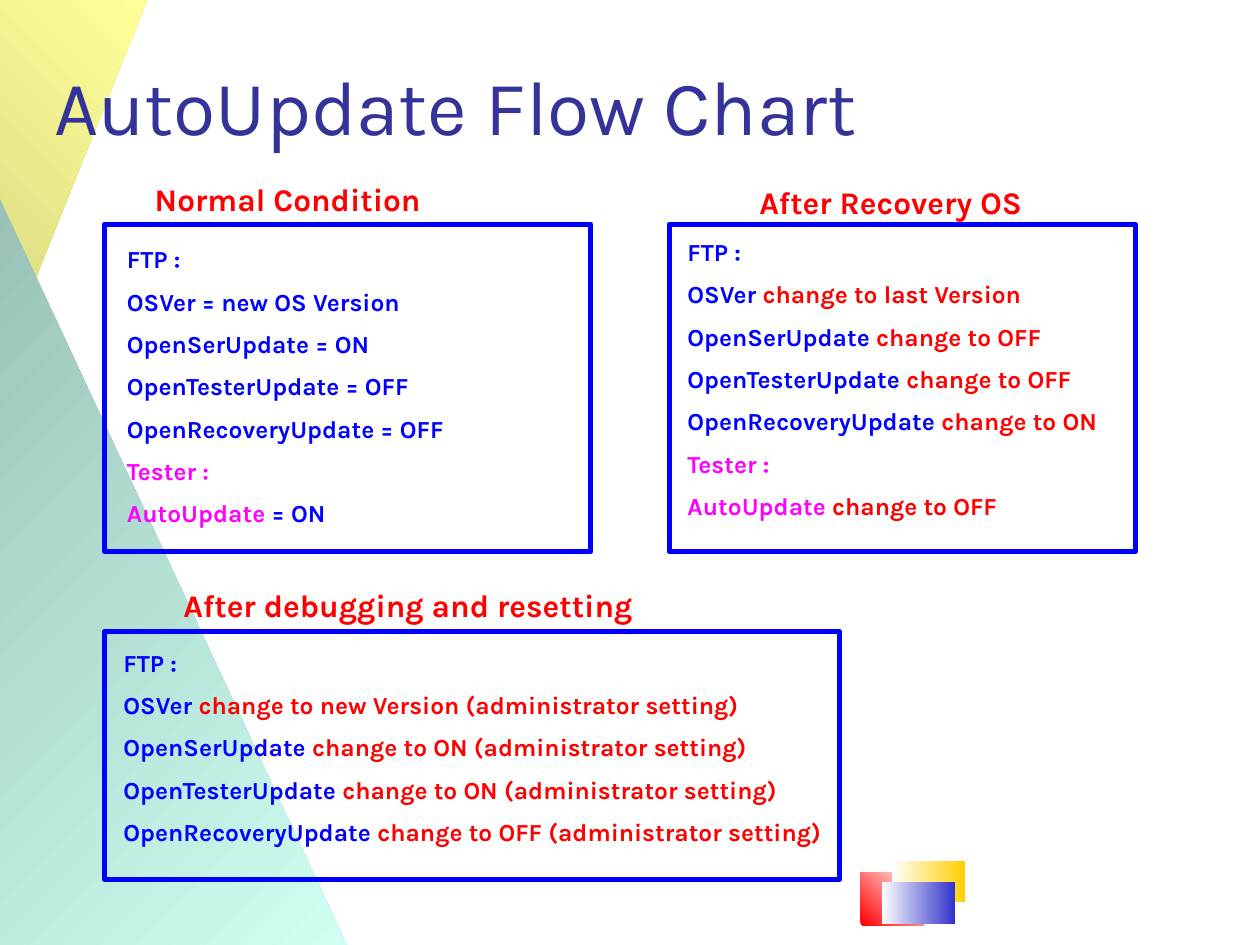
from dataclasses import dataclass
from typing import NamedTuple

from pptx import Presentation
from pptx.dml.color import RGBColor
from pptx.enum.shapes import MSO_SHAPE
from pptx.enum.text import MSO_ANCHOR, MSO_AUTO_SIZE, PP_ALIGN
from pptx.util import Cm, Pt


@dataclass(frozen=True)
class Theme:
    font: str = "Karla"
    title: str = "333399"
    server: str = "0000FF"
    tester: str = "FF00FF"
    change: str = "FF0000"
    frame: str = "0000FF"
    title_size: float = 44
    heading_size: float = 18
    setting_size: float = 14
    setting_gap: float = 7.4
    frame_width: float = 3


class Box(NamedTuple):
    left: float
    top: float
    width: float
    height: float

    def lengths(self) -> tuple:
        return tuple(Cm(value) for value in self)


class Part(NamedTuple):
    text: str
    color: str


class Ornament(NamedTuple):
    preset: MSO_SHAPE
    box: Box
    start: str
    end: str
    angle: int
    flipped: bool = False


class Condition(NamedTuple):
    heading: str
    heading_box: Box
    frame_box: Box
    settings_box: Box
    settings: list[list[Part]]


THEME = Theme()


def server(text: str) -> Part:
    return Part(text, THEME.server)


def tester(text: str) -> Part:
    return Part(text, THEME.tester)


def changed(name: Part, value: str) -> list[Part]:
    return [Part(f"{name.text} ", name.color), Part(f"change to {value}", THEME.change)]


def by_administrator(name: str, value: str) -> list[Part]:
    return changed(server(name), f"{value} (administrator setting)")


ORNAMENTS = [
    Ornament(MSO_SHAPE.RECTANGLE, Box(17.35, 17.58, 1.27, 1.07), "FF0000", "FFFFFF", 45),
    Ornament(MSO_SHAPE.RECTANGLE, Box(17.98, 17.35, 1.47, 0.84), "FFFFFF", "FFCF01", 0),
    Ornament(MSO_SHAPE.RECTANGLE, Box(17.78, 17.78, 1.47, 0.84), "FFFFFF", "3333CC", 0),
    Ornament(MSO_SHAPE.RIGHT_TRIANGLE, Box(0, 0, 2.97, 7.42), "D8D882", "FFFF99", 315, True),
    Ornament(MSO_SHAPE.RIGHT_TRIANGLE, Box(0, 4.01, 6.99, 15.04), "9BC1B7", "CDFFF2", 315),
]

CONDITIONS = [
    Condition(
        "Normal Condition",
        Box(2.87, 3.51, 8.23, 1.02),
        Box(2.11, 4.52, 9.8, 6.6),
        Box(2.31, 4.8, 8.41, 6.17),
        [
            [server("FTP :")],
            [server("OSVer = new OS Version")],
            [server("OpenSerUpdate = ON")],
            [server("OpenTesterUpdate = OFF")],
            [server("OpenRecoveryUpdate = OFF")],
            [tester("Tester :")],
            [tester("AutoUpdate"), server(" = ON")],
        ],
    ),
    Condition(
        "After Recovery OS",
        Box(15.06, 3.56, 6.81, 1.02),
        Box(13.49, 4.52, 9.4, 6.6),
        Box(13.61, 4.65, 9.47, 6.17),
        [
            [server("FTP :")],
            changed(server("OSVer"), "last Version"),
            changed(server("OpenSerUpdate"), "OFF"),
            changed(server("OpenTesterUpdate"), "OFF"),
            changed(server("OpenRecoveryUpdate"), "ON"),
            [tester("Tester :")],
            changed(tester("AutoUpdate"), "OFF"),
        ],
    ),
    Condition(
        "After debugging and resetting",
        Box(3.45, 11.68, 12.19, 1.02),
        Box(2.11, 12.73, 14.81, 5),
        Box(2.24, 12.93, 14.68, 4.39),
        [
            [server("FTP :")],
            by_administrator("OSVer", "new Version"),
            by_administrator("OpenSerUpdate", "ON"),
            by_administrator("OpenTesterUpdate", "ON"),
            by_administrator("OpenRecoveryUpdate", "OFF"),
        ],
    ),
]


def format_run(run, size: float, color: str, bold: bool = True) -> None:
    run.font.name = THEME.font
    run.font.size = Pt(size)
    run.font.bold = bold
    run.font.color.rgb = RGBColor.from_string(color)


def draw_ornament(slide, ornament: Ornament) -> None:
    shape = slide.shapes.add_shape(ornament.preset, *ornament.box.lengths())
    shape.shadow.inherit = False
    shape.line.fill.background()
    shape.fill.gradient()
    shape.fill.gradient_angle = ornament.angle
    for stop, color in zip(shape.fill.gradient_stops, (ornament.start, ornament.end)):
        stop.color.rgb = RGBColor.from_string(color)
    if ornament.flipped:
        shape.element.spPr.get_or_add_xfrm().set("flipV", "1")


def draw_title(slide, text: str, box: Box) -> None:
    title = slide.shapes.title
    title.left, title.top, title.width, title.height = box.lengths()
    frame = title.text_frame
    frame.text = text
    frame.auto_size = MSO_AUTO_SIZE.NONE
    frame.vertical_anchor = MSO_ANCHOR.MIDDLE
    frame.margin_left = frame.margin_right = frame.margin_top = frame.margin_bottom = 0
    frame.paragraphs[0].alignment = PP_ALIGN.LEFT
    format_run(frame.paragraphs[0].runs[0], THEME.title_size, THEME.title, bold=False)
    slide.shapes.element.append(title.element)


def draw_lines(slide, box: Box, lines: list[list[Part]], size: float) -> None:
    frame = slide.shapes.add_textbox(*box.lengths()).text_frame
    frame.word_wrap = True
    for index, parts in enumerate(lines):
        paragraph = frame.add_paragraph() if index else frame.paragraphs[0]
        paragraph.space_before = Pt(THEME.setting_gap if index else 0)
        for part in parts:
            run = paragraph.add_run()
            run.text = part.text
            format_run(run, size, part.color)


def draw_condition(slide, condition: Condition) -> None:
    border = slide.shapes.add_shape(MSO_SHAPE.RECTANGLE, *condition.frame_box.lengths())
    border.shadow.inherit = False
    border.fill.background()
    border.line.color.rgb = RGBColor.from_string(THEME.frame)
    border.line.width = Pt(THEME.frame_width)
    draw_lines(slide, condition.settings_box, condition.settings, THEME.setting_size)
    heading = [[Part(condition.heading, THEME.change)]]
    draw_lines(slide, condition.heading_box, heading, THEME.heading_size)


def main() -> None:
    presentation = Presentation()
    presentation.slide_width, presentation.slide_height = Cm(25.4), Cm(19.05)
    slide = presentation.slides.add_slide(presentation.slide_layouts[5])
    for ornament in ORNAMENTS:
        draw_ornament(slide, ornament)
    draw_title(slide, "AutoUpdate Flow Chart", Box(1.09, 0.53, 22.86, 3.18))
    for condition in CONDITIONS:
        draw_condition(slide, condition)
    presentation.save("out.pptx")


if __name__ == "__main__":
    main()
